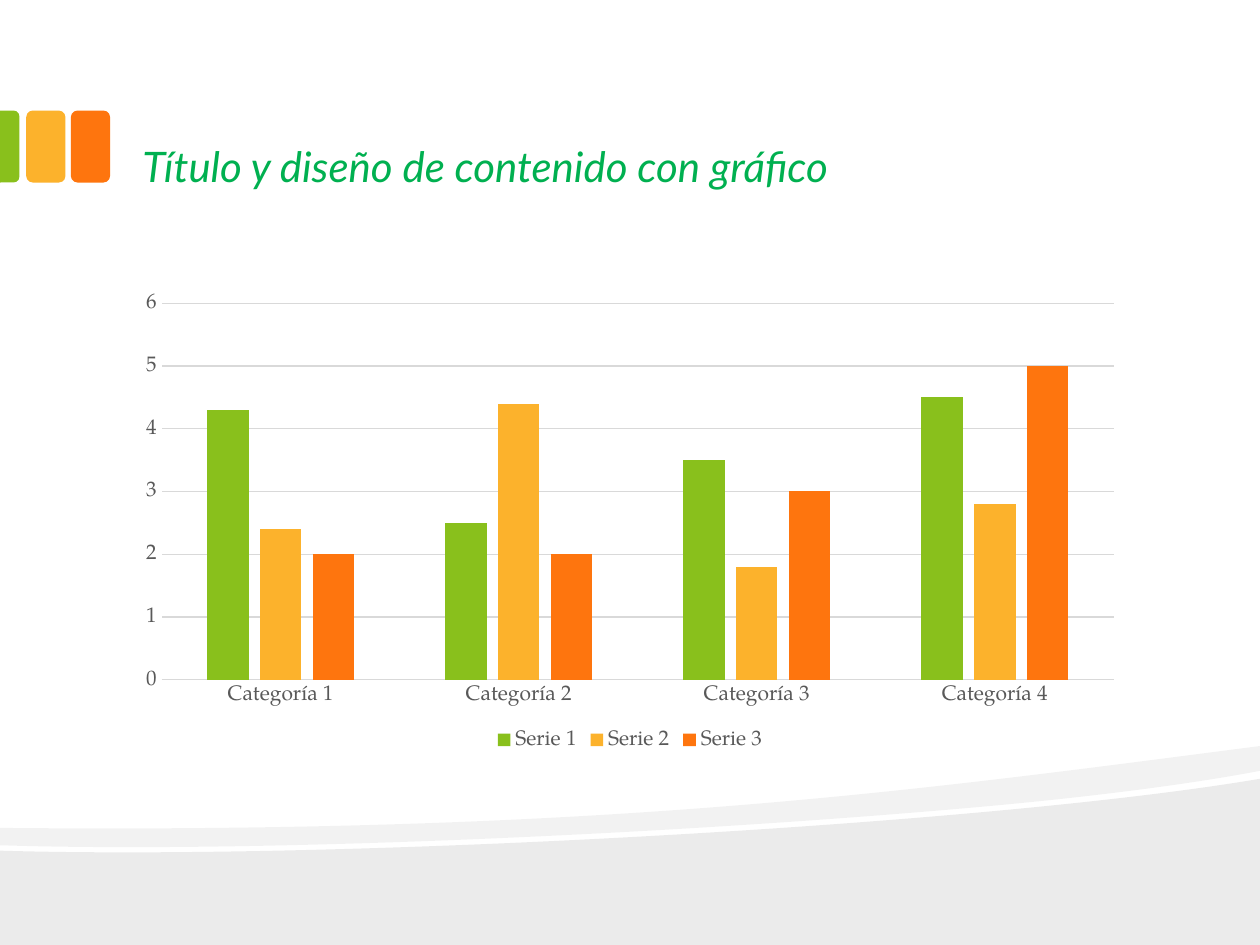
from dataclasses import dataclass

from lxml import etree
from pptx import Presentation
from pptx import util as u
from pptx.chart.data import CategoryChartData
from pptx.dml.color import RGBColor
from pptx.enum import chart as charts, shapes, text
from pptx.oxml.ns import qn
from pptx.util import Cm


@dataclass(frozen=True)
class Theme:
    green: str = "89C01C"
    amber: str = "FCB22C"
    orange: str = "FE750E"
    title: str = "00B050"
    label: str = "595959"
    grid: str = "D9D9D9"
    band: str = "000000"
    title_font: str = "Lato"
    chart_font: str = "TeX Gyre Pagella"
    title_size: int = 24
    chart_size: int = 12


THEME = Theme()
SERIES = [
    ("Serie 1", (4.3, 2.5, 3.5, 4.5), THEME.green),
    ("Serie 2", (2.4, 4.4, 1.8, 2.8), THEME.amber),
    ("Serie 3", (2, 2, 3, 5), THEME.orange),
]

# Outlines in centimetres: a pair is a corner, a triple of pairs is a Bézier curve.
LIGHT_BAND = [
    (25.4, 15.04), (25.4, 15.54),
    ((23.93, 15.82), (21.89, 16.08), (19.61, 16.28)),
    ((13.28, 16.84), (4.9, 17.2), (0, 17.04)),
    (0, 16.69),
    ((12.42, 16.81), (18.49, 15.93), (25.4, 15.04)),
]
DARK_BAND = [
    (25.4, 15.7), (25.4, 19.05), (0, 19.05), (0, 17.15),
    ((6.71, 17.35), (19.86, 16.64), (25.4, 15.7)),
]


def rgb(color):
    return RGBColor.from_string(color)


def style_font(font, name, size, color):
    font.name, font.size = name, u.Pt(size)
    font.color.rgb = rgb(color)


def paint(shape, color):
    shape.shadow.inherit = False
    shape.fill.solid()
    shape.fill.fore_color.rgb = rgb(color)
    shape.line.fill.background()


def set_opacity(shape, percent):
    color = next(shape.element.spPr.iter(qn("a:srgbClr")))
    etree.SubElement(color, qn("a:alpha"), val=str(percent * 1000))


def bend_segments(shape, outline):
    """Join the three line segments of each curve in the outline into one Bézier segment."""
    segments = iter(list(shape.element.iter(qn("a:lnTo"))))
    for part in outline[1:]:
        segment = next(segments)
        if len(part) == 3:
            curve = etree.Element(qn("a:cubicBezTo"))
            segment.addprevious(curve)
            for line in (segment, next(segments), next(segments)):
                curve.append(line[0])
                line.getparent().remove(line)


def add_band(slide, outline, opacity):
    points = []
    for part in outline:
        points += [part] if len(part) == 2 else part
    start, *rest = [(Cm(x), Cm(y)) for x, y in points]
    builder = slide.shapes.build_freeform(*start)
    builder.add_line_segments(rest, close=True)
    band = builder.convert_to_shape()
    bend_segments(band, outline)
    paint(band, THEME.band)
    set_opacity(band, opacity)


def add_tabs(slide):
    top, width, height = 2.23, 0.79, 1.45
    for left, color in ((1.43, THEME.orange), (0.53, THEME.amber)):
        tab = slide.shapes.add_shape(shapes.MSO_SHAPE.ROUNDED_RECTANGLE,
                                     Cm(left), Cm(top), Cm(width), Cm(height))
        paint(tab, color)

    # The first tab is cut by the slide edge, so a turned shape rounds only its right side.
    visible = 0.39
    tab = slide.shapes.add_shape(shapes.MSO_SHAPE.ROUND_2_SAME_RECTANGLE,
                                 Cm((visible - height) / 2), Cm(top + (height - visible) / 2),
                                 Cm(height), Cm(visible))
    tab.rotation = 90
    tab.adjustments[0] = 0.29
    paint(tab, THEME.green)


def set_title(slide, wording):
    title = slide.shapes.title
    title.left, title.top, title.width, title.height = Cm(2.54), Cm(0.43), Cm(20.32), Cm(3.6)
    frame = title.text_frame
    frame.text = wording
    frame.word_wrap = True
    frame.auto_size = text.MSO_AUTO_SIZE.NONE
    frame.vertical_anchor = text.MSO_ANCHOR.BOTTOM
    frame.margin_left = frame.margin_right = Cm(0.33)
    frame.margin_top = frame.margin_bottom = Cm(0.18)
    paragraph = frame.paragraphs[0]
    paragraph.alignment = text.PP_ALIGN.LEFT
    style_font(paragraph.font, THEME.title_font, THEME.title_size, THEME.title)
    paragraph.font.italic = True


def style_line(line):
    line.color.rgb = rgb(THEME.grid)
    line.width = u.Pt(0.75)


def add_column_chart(slide):
    data = CategoryChartData()
    data.categories = [f"Categoría {number}" for number in range(1, 5)]
    for name, values, _ in SERIES:
        data.add_series(name, values)
    chart = slide.shapes.add_chart(charts.XL_CHART_TYPE.COLUMN_CLUSTERED, Cm(2.54), Cm(5.71),
                                   Cm(20.32), Cm(9.52), data).chart
    style_font(chart.font, THEME.chart_font, THEME.chart_size, THEME.label)
    chart.has_title = False
    chart.has_legend = True
    chart.legend.position = charts.XL_LEGEND_POSITION.BOTTOM
    chart.legend.include_in_layout = False
    style_font(chart.legend.font, THEME.chart_font, THEME.chart_size, THEME.label)

    plot = chart.plots[0]
    plot.vary_by_categories = False
    plot.gap_width, plot.overlap = 219, -27
    for series, (_, _, color) in zip(plot.series, SERIES):
        series.format.fill.solid()
        series.format.fill.fore_color.rgb = rgb(color)
        series.invert_if_negative = False

    for axis in (chart.category_axis, chart.value_axis):
        axis.major_tick_mark = axis.minor_tick_mark = charts.XL_TICK_MARK.NONE
        style_font(axis.tick_labels.font, THEME.chart_font, THEME.chart_size, THEME.label)
    style_line(chart.category_axis.format.line)
    value_axis = chart.value_axis
    value_axis.minimum_scale, value_axis.maximum_scale, value_axis.major_unit = 0, 6, 1
    value_axis.format.line.fill.background()
    value_axis.has_major_gridlines = True
    style_line(value_axis.major_gridlines.format.line)


def main():
    presentation = Presentation()
    presentation.slide_width, presentation.slide_height = Cm(25.4), Cm(19.05)
    slide = presentation.slides.add_slide(presentation.slide_layouts[5])
    add_band(slide, DARK_BAND, opacity=8)
    add_band(slide, LIGHT_BAND, opacity=5)
    add_tabs(slide)
    set_title(slide, "Título y diseño de contenido con gráfico")
    add_column_chart(slide)
    presentation.save("out.pptx")


if __name__ == "__main__":
    main()
